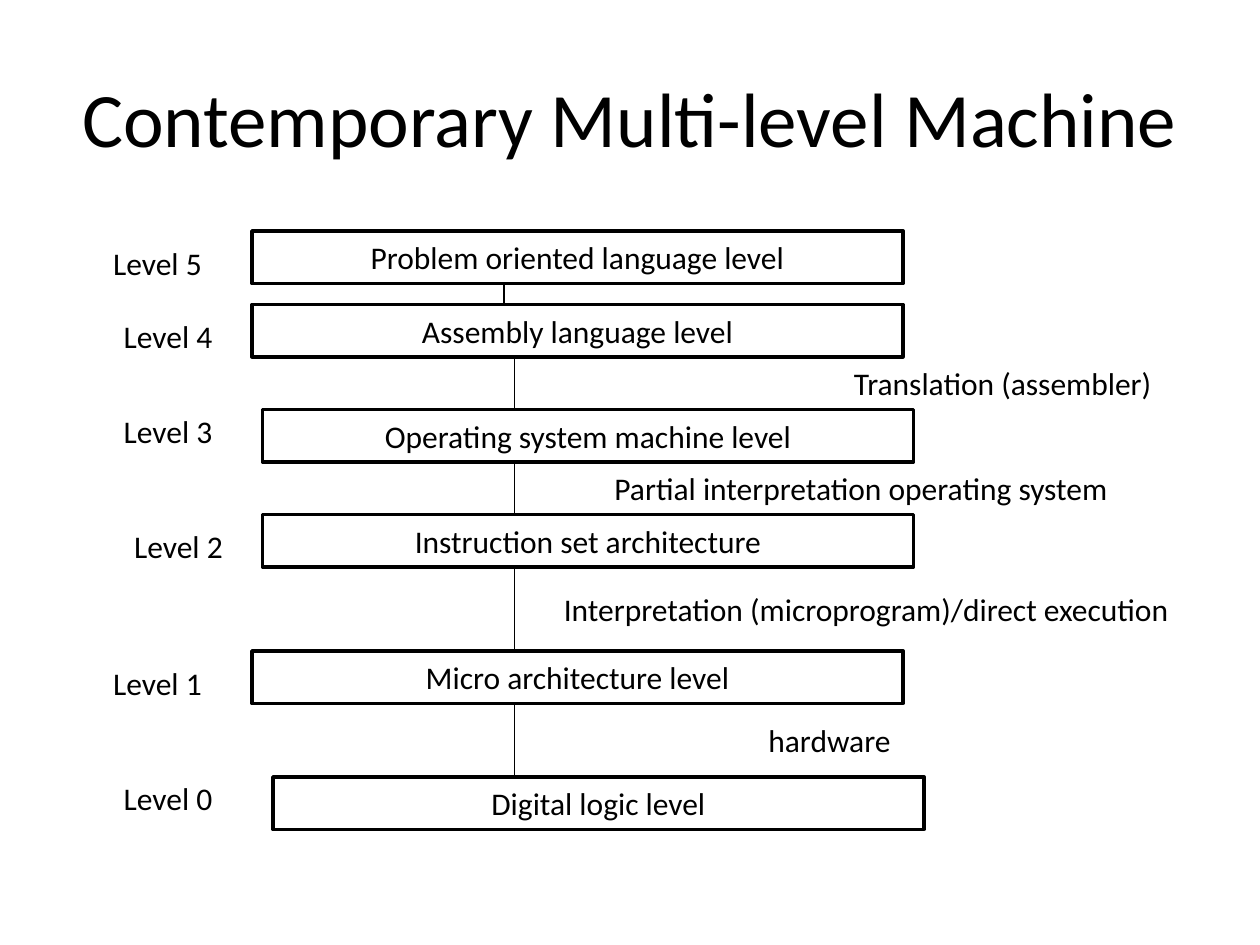
from pptx import Presentation
from pptx.dml.color import RGBColor
from pptx.enum.shapes import MSO_CONNECTOR, MSO_SHAPE
from pptx.enum.text import MSO_ANCHOR, PP_ALIGN
from pptx.oxml.ns import qn
from pptx.util import Pt
from lxml import etree

BLACK = RGBColor(0, 0, 0)
WHITE = RGBColor(255, 255, 255)
RECTANGLE = MSO_SHAPE.RECTANGLE
STRAIGHT = MSO_CONNECTOR.STRAIGHT
CENTER = PP_ALIGN.CENTER
MIDDLE = MSO_ANCHOR.MIDDLE

BOX_WIDTH, BOX_HEIGHT = 372, 30
LABEL_WIDTH, LABEL_HEIGHT = 72, 24

# Level name, box text, box left and top, label left and top
LEVELS = [
    ("Level 5", "Problem oriented language level", 144, 132, 54, 138),
    ("Level 4", "Assembly language level", 144, 174, 60, 180),
    ("Level 3", "Operating system machine level", 150, 234, 60, 234),
    ("Level 2", "Instruction set architecture", 150, 294, 66, 300),
    ("Level 1", "Micro architecture level", 144, 372, 54, 378),
    ("Level 0", "Digital logic level", 156, 444, 60, 444),
]

# Text, left, top, width, height
CAPTIONS = [
    ("Translation (assembler)", 480, 210, 186, 18),
    ("Partial interpretation operating system", 336, 270, 312, 18),
    ("Interpretation (microprogram)/direct execution", 312, 336, 366, 24),
    ("hardware", 396, 414, 156, 18),
]

LINK_POSITIONS = [288, 294, 294, 294, 294]


def write_text(text_frame, text, size=18, color=BLACK, font="Calibri"):
    text_frame.word_wrap = True
    text_frame.vertical_anchor = MIDDLE
    paragraph = text_frame.paragraphs[0]
    paragraph.text = text
    paragraph.alignment = CENTER
    paragraph.font.name = font
    paragraph.font.size = Pt(size)
    paragraph.font.color.rgb = color


class Diagram:
    border_width = 2
    link_width = 0.75
    title_size = 44

    def __init__(self, slide):
        self.slide = slide

    def title(self, text, left, top, width, height):
        shape = self.slide.shapes.add_textbox(Pt(left), Pt(top), Pt(width), Pt(height))
        write_text(shape.text_frame, text, size=self.title_size)

    def box(self, text, left, top, width, height, border=BLACK):
        shape = self.slide.shapes.add_shape(
            RECTANGLE, Pt(left), Pt(top), Pt(width), Pt(height))
        shape.shadow.inherit = False
        shape.fill.solid()
        shape.fill.fore_color.rgb = WHITE
        shape.line.color.rgb = border
        shape.line.width = Pt(self.border_width)
        write_text(shape.text_frame, text)

    def label(self, text, left, top, width, height):
        self.box(text, left, top, width, height, border=WHITE)

    def link(self, x, top, bottom):
        connector = self.slide.shapes.add_connector(
            STRAIGHT, Pt(x), Pt(top), Pt(x), Pt(bottom))
        connector.line.color.rgb = BLACK
        connector.line.width = Pt(self.link_width)
        etree.SubElement(connector._element.spPr, qn("a:effectLst"))


def main():
    presentation = Presentation()
    presentation.slide_width, presentation.slide_height = Pt(720), Pt(540)
    diagram = Diagram(presentation.slides.add_slide(presentation.slide_layouts[6]))

    diagram.title("Contemporary Multi-level Machine", 36, 21.6, 648, 90)

    # Level boxes
    for name, text, left, top, label_left, label_top in LEVELS:
        diagram.box(text, left, top, BOX_WIDTH, BOX_HEIGHT)

    # Captions between the levels
    for caption in CAPTIONS:
        diagram.label(*caption)

    # Links from each box down to the next
    tops = [level[3] for level in LEVELS]
    for x, upper, lower in zip(LINK_POSITIONS, tops, tops[1:]):
        diagram.link(x, upper + BOX_HEIGHT, lower)

    # Level names
    for name, text, left, top, label_left, label_top in LEVELS:
        diagram.label(name, label_left, label_top, LABEL_WIDTH, LABEL_HEIGHT)

    presentation.save("out.pptx")


if __name__ == "__main__":
    main()
